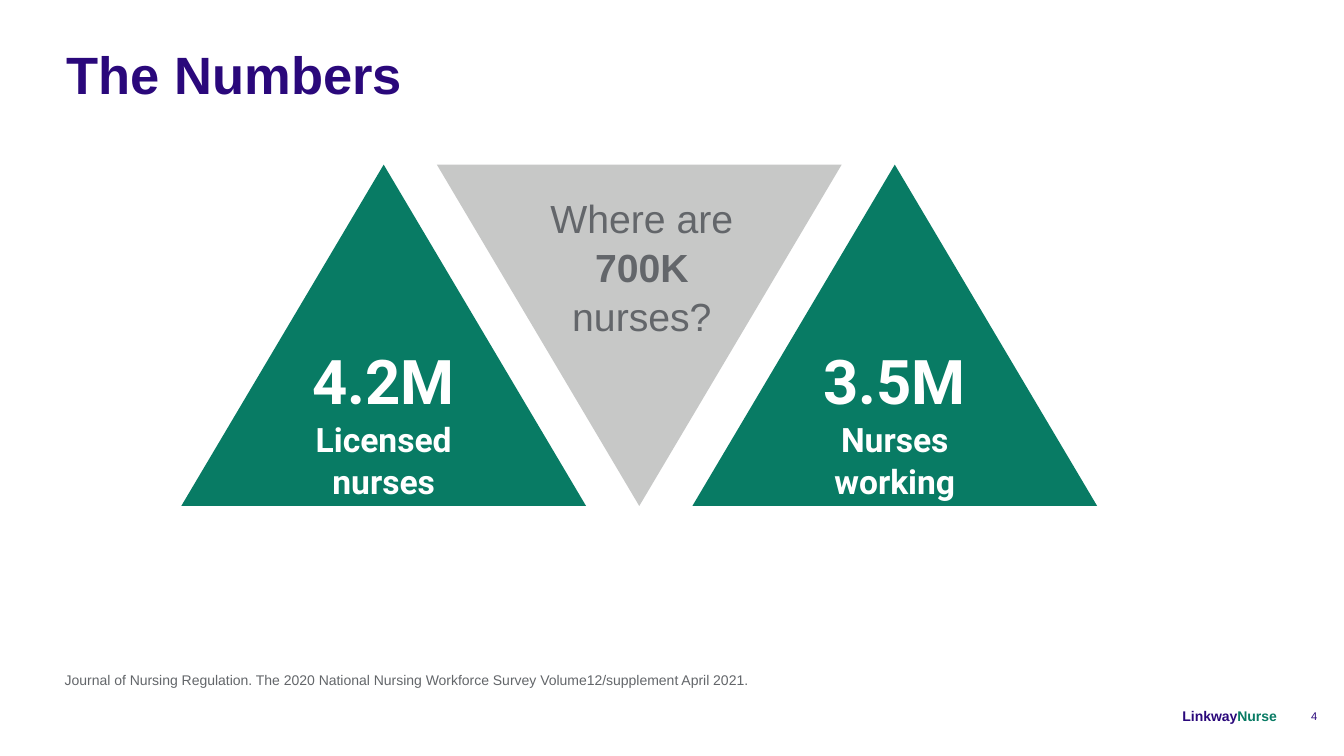
from pptx import Presentation
from pptx.dml.color import RGBColor
from pptx.enum.shapes import MSO_SHAPE as Shape
from pptx.enum.text import MSO_ANCHOR as Anchor, MSO_AUTO_SIZE as AutoSize, PP_ALIGN as Align
from pptx.util import Cm, Pt

PURPLE = RGBColor(0x2A, 0x08, 0x7B)
GREEN = RGBColor(0x08, 0x7B, 0x64)
LIGHT_GREY = RGBColor(0xC7, 0xC8, 0xC7)
DARK_GREY = RGBColor(0x63, 0x66, 0x6A)
WHITE = RGBColor(0xFF, 0xFF, 0xFF)

HEADING = "The Numbers"
TRIANGLES = [
    (GREEN, 0, [("4.2M", 44), ("Licensed nurses", 24)]),
    (LIGHT_GREY, 180, []),
    (GREEN, 0, [("3.5M", 44), ("Nurses working", 24)]),
]
QUESTION = [("Where are ", False), ("700K", True), (" nurses?", False)]
CITATION = ("Journal of Nursing Regulation. The 2020 National Nursing Workforce "
            "Survey Volume12/supplement April 2021.")
BRAND = [("Linkway", PURPLE), ("Nurse", GREEN)]
PAGE_NUMBER = "4"

TRIANGLE_LEFT, TRIANGLE_TOP = 4.57, 4.15
TRIANGLE_WIDTH, TRIANGLE_HEIGHT = 10.2, 8.6
TRIANGLE_STEP = 6.44


def add_text(paragraph, text, *, size, color, font="Arial", bold=False,
             align=Align.LEFT, spacing=1.0):
    paragraph.alignment = align
    paragraph.line_spacing = spacing
    run = paragraph.add_run()
    run.text = text
    run.font.name = font
    run.font.size = Pt(size)
    run.font.bold = bold
    run.font.color.rgb = color


def prepare_frame(frame, anchor, inset=0):
    frame.word_wrap = True
    frame.auto_size = AutoSize.NONE
    frame.vertical_anchor = anchor
    frame.margin_left = frame.margin_right = Cm(inset)
    frame.margin_top = frame.margin_bottom = Cm(inset / 2)
    return frame.paragraphs[0]


def add_box(slide, left, top, width, height, anchor=Anchor.MIDDLE, inset=0):
    box = slide.shapes.add_textbox(Cm(left), Cm(top), Cm(width), Cm(height))
    return prepare_frame(box.text_frame, anchor, inset)


def add_triangle(slide, index, color, rotation, lines):
    triangle = slide.shapes.add_shape(
        Shape.ISOSCELES_TRIANGLE,
        Cm(TRIANGLE_LEFT + index * TRIANGLE_STEP), Cm(TRIANGLE_TOP),
        Cm(TRIANGLE_WIDTH), Cm(TRIANGLE_HEIGHT))
    triangle.rotation = rotation
    triangle.shadow.inherit = False
    triangle.fill.solid()
    triangle.fill.fore_color.rgb = color
    triangle.line.fill.background()
    paragraph = prepare_frame(triangle.text_frame, Anchor.MIDDLE, 0.25)
    for number, (text, size) in enumerate(lines):
        if number:
            paragraph = triangle.text_frame.add_paragraph()
        add_text(paragraph, text, size=size, color=WHITE, font="Roboto",
                 bold=True, align=Align.CENTER, spacing=1.04)


def main():
    deck = Presentation()
    deck.slide_width, deck.slide_height = Cm(33.87), Cm(19.05)
    slide = deck.slides.add_slide(deck.slide_layouts[5])

    title = slide.shapes.title
    title.left, title.top, title.width, title.height = Cm(1.68), Cm(1.04), Cm(28.2), Cm(1.6)
    add_text(prepare_frame(title.text_frame, Anchor.BOTTOM), HEADING,
             size=37.5, color=PURPLE, bold=True)

    for index, (color, rotation, lines) in enumerate(TRIANGLES):
        add_triangle(slide, index, color, rotation, lines)

    question = add_box(slide, 13.56, 4.85, 5.23, 3.58, Anchor.TOP)
    for text, bold in QUESTION:
        add_text(question, text, size=28, color=DARK_GREY, bold=bold,
                 align=Align.CENTER, spacing=1.04)

    citation = add_box(slide, 1.63, 16.92, 30.5, 0.43)
    add_text(citation, CITATION, size=10, color=DARK_GREY)

    brand = add_box(slide, 20.75, 17.58, 11.43, 0.94)
    for text, color in BRAND:
        add_text(brand, text, size=10, color=color, bold=True, align=Align.RIGHT)

    page = add_box(slide, 32.18, 17.6, 1.27, 0.91, inset=0.25)
    add_text(page, PAGE_NUMBER, size=8, color=PURPLE, align=Align.RIGHT)

    deck.save("out.pptx")


if __name__ == "__main__":
    main()
